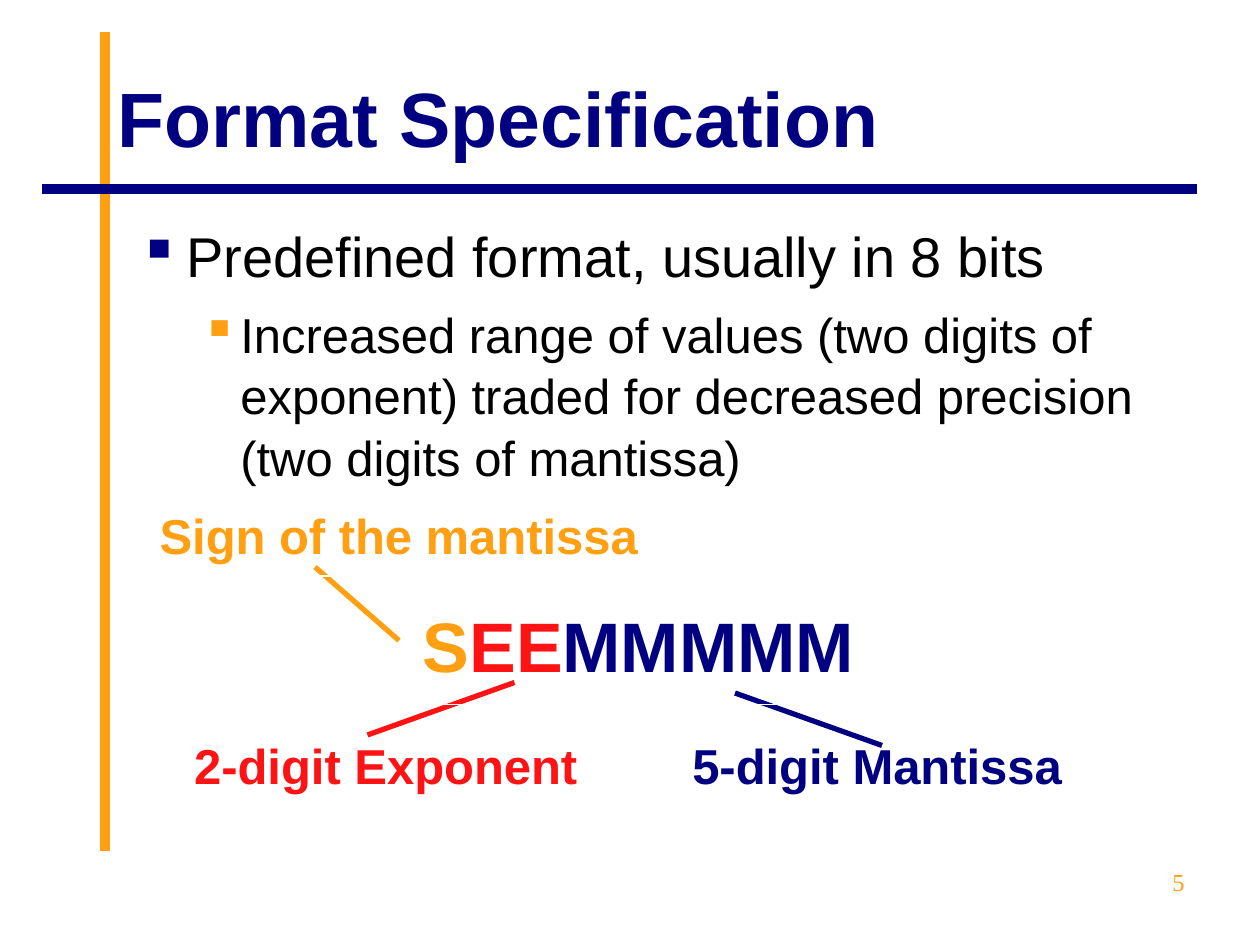
from lxml import etree
from pptx import Presentation, util as u
from pptx.dml.color import RGBColor
from pptx.enum import shapes, text
from pptx.oxml.ns import qn

ORANGE = RGBColor(0xFF, 0x9F, 0x11)
NAVY = RGBColor(0x00, 0x00, 0x80)
RED = RGBColor(0xFD, 0x13, 0x13)
BLACK = RGBColor(0, 0, 0)
LEFT, CENTER, RIGHT = text.PP_ALIGN.LEFT, text.PP_ALIGN.CENTER, text.PP_ALIGN.RIGHT

deck = Presentation()
deck.slide_width, deck.slide_height = u.Inches(10), u.Inches(7.5)
slide = deck.slides.add_slide(deck.slide_layouts[6])
COL, ROW = deck.slide_width // 120, deck.slide_height // 90


def write(paragraph, runs, size, bold=False, face="Arial", **layout):
    for key, value in layout.items():
        setattr(paragraph, key, value)
    for words, color in runs:
        run = paragraph.add_run()
        run.text = words
        run.font.color.rgb = color
        for key, value in {"size": u.Pt(size), "bold": bold, "name": face}.items():
            setattr(run.font, key, value)


def frame(left, top, width, height, anchor=text.MSO_ANCHOR.TOP):
    area = slide.shapes.add_textbox(
        int(left * COL), int(top * ROW), int(width * COL), int(height * ROW)
    ).text_frame
    for key, value in {"word_wrap": True, "vertical_anchor": anchor}.items():
        setattr(area, key, value)
    return area


rules = [
    (10, 81, 10, 3, ORANGE, 5.5),
    (114, 18, 4, 18, NAVY, 5.5),
]
pointers = [
    (30, 54, 38, 61, ORANGE, 3),
    (84, 71, 70, 66, NAVY, 3),
    (35, 70, 49, 65, RED, 3),
]
for x1, y1, x2, y2, color, weight in rules + pointers:
    stroke = slide.shapes.add_connector(
        shapes.MSO_CONNECTOR.STRAIGHT, x1 * COL, y1 * ROW, x2 * COL, y2 * ROW
    )
    stroke.line.color.rgb = color
    stroke.line.width = u.Pt(weight)
    etree.SubElement(stroke._element.spPr, qn("a:effectLst"))

title = frame(10, 3.6, 104, 15, text.MSO_ANCHOR.MIDDLE)
write(title.paragraphs[0], [("Format Specification", NAVY)], 44, bold=True)

points = [
    ("Predefined format, usually in 8 bits", 32, 0, 0.38, 0.38, NAVY, 0),
    ("Increased range of values (two digits of exponent) traded for decreased "
     "precision (two digits of mantissa)", 28, 1, 0.81, 0.31, ORANGE, 7),
]
body = frame(12, 20.2, 102, 59.4)
for words, size, level, margin, hanging, bullet_color, before in points:
    point = body.add_paragraph() if level else body.paragraphs[0]
    props = point._p.get_or_add_pPr()
    props.set("marL", str(u.Inches(margin)))
    props.set("indent", str(-u.Inches(hanging)))
    tint = etree.SubElement(props, qn("a:buClr"))
    etree.SubElement(tint, qn("a:srgbClr"), val=str(bullet_color))
    etree.SubElement(props, qn("a:buChar"), char="▪")
    write(point, [(words, BLACK)], size, level=level, line_spacing=1.05,
          space_before=u.Pt(before))

layout = slide.shapes.add_table(
    3, 2, 14 * COL, 48 * ROW, int(93.6 * COL), int(28.9 * ROW)
).table
for column, width in zip(layout.columns, (3.79, 4.01)):
    column.width = u.Inches(width)
for row, height in zip(layout.rows, (0.57, 1.02, 0.82)):
    row.height = u.Inches(height)
for cell in layout.iter_cells():
    cell.fill.background()
for r in (0, 1):
    layout.cell(r, 0).merge(layout.cell(r, 1))

fields = [
    (0, 0, [("Sign of the mantissa", ORANGE)], 28, LEFT, 1.0),
    (1, 0, [("S", ORANGE), ("EE", RED), ("MMMMM", NAVY)], 40, CENTER, 1.35),
    (2, 0, [("2-digit Exponent", RED)], 28, CENTER, 1.55),
    (2, 1, [("5-digit Mantissa", NAVY)], 28, CENTER, 1.55),
]
for r, c, runs, size, alignment, spacing in fields:
    write(layout.cell(r, c).text_frame.paragraphs[0], runs, size, bold=True,
          alignment=alignment, line_spacing=spacing)

page_number = frame(86, 82, 28, 6.2)
write(page_number.paragraphs[0], [("5", ORANGE)], 14, face="Times New Roman",
      alignment=RIGHT)

deck.save("out.pptx")
